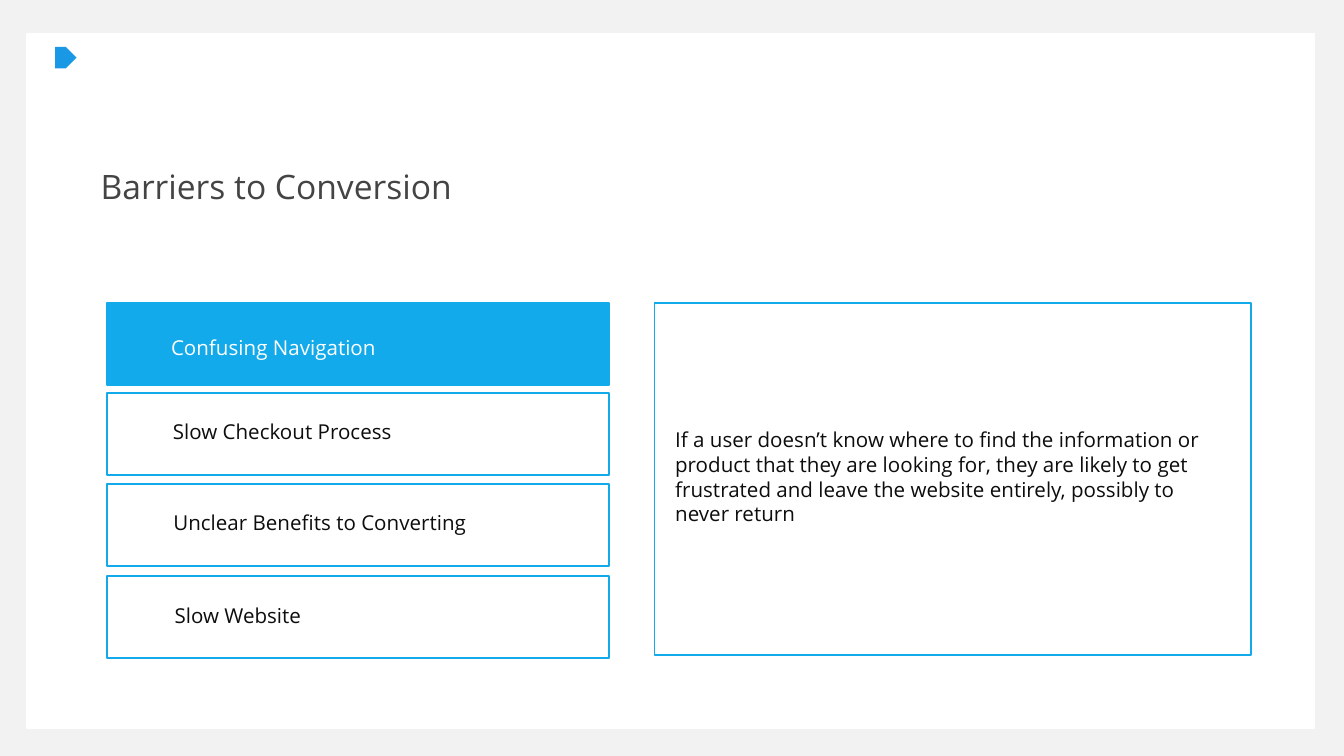
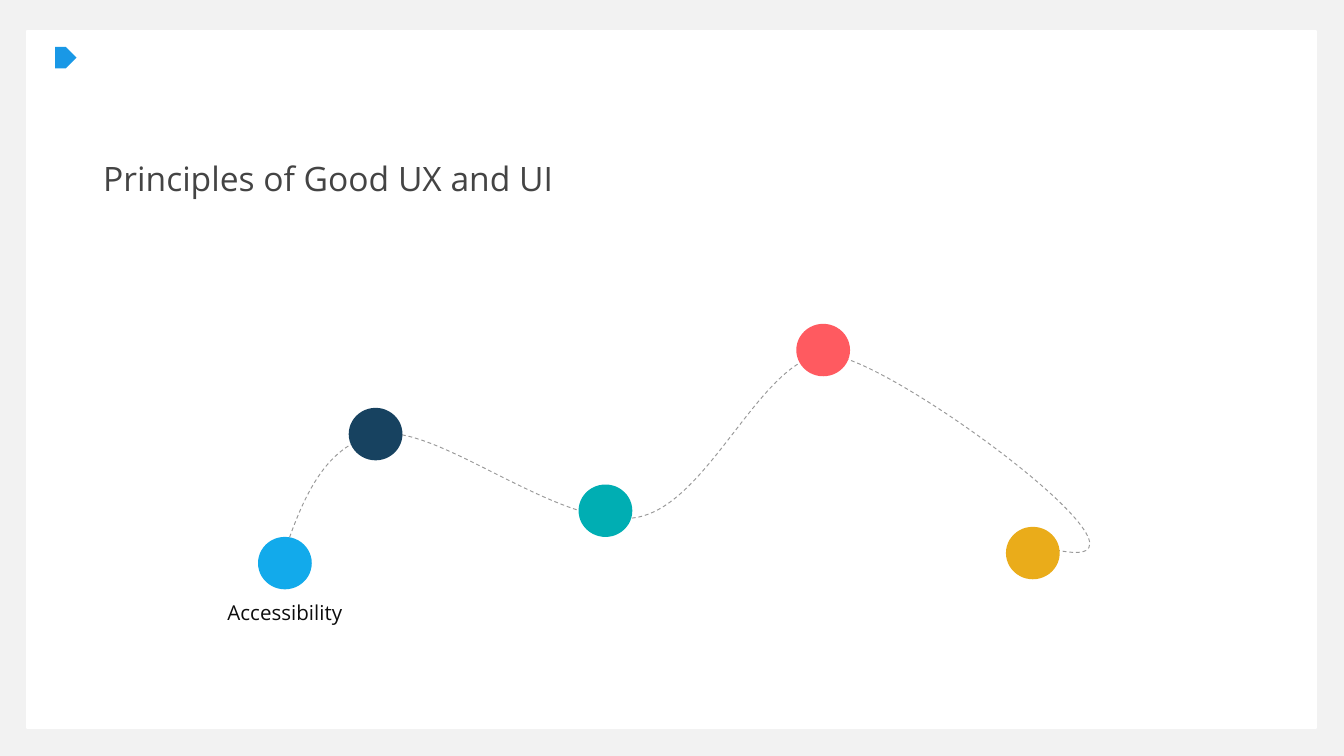
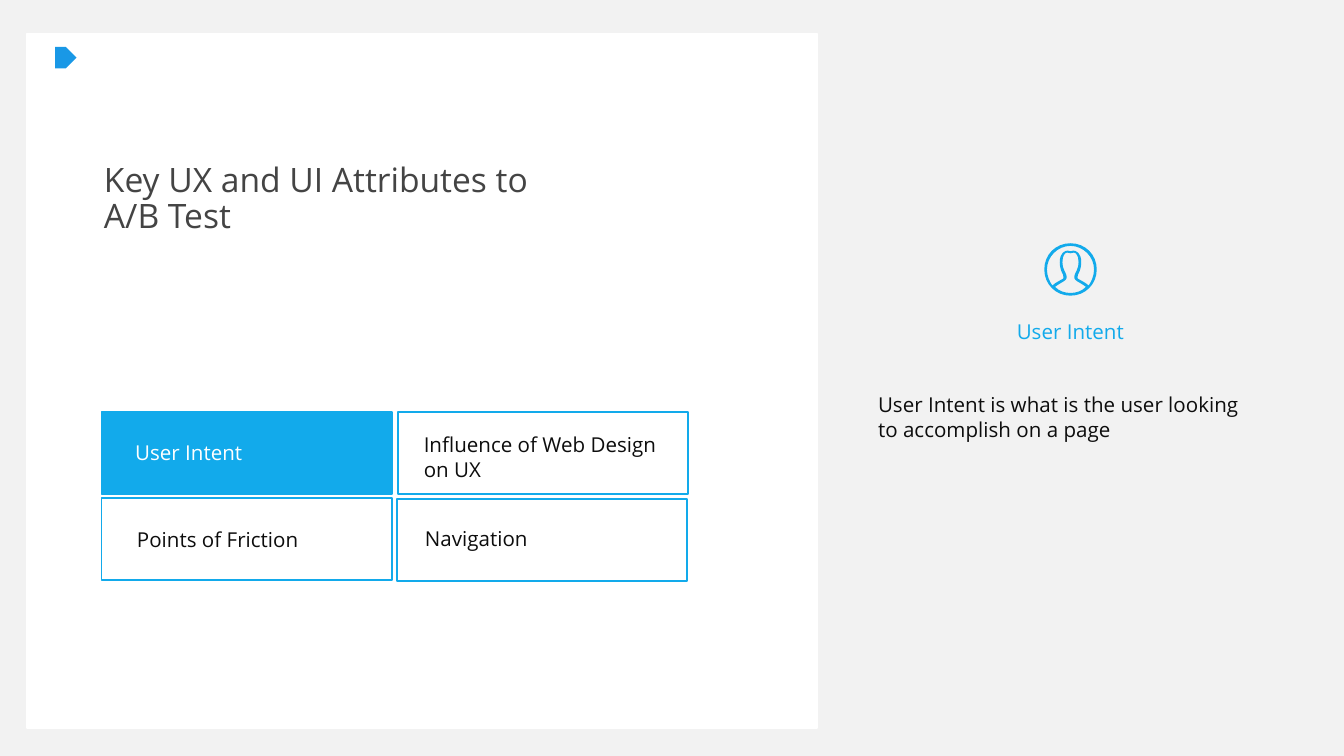
from dataclasses import dataclass

from lxml import etree
from pptx import Presentation
from pptx import util as u
from pptx.dml.color import RGBColor
from pptx.enum import dml, shapes, text
from pptx.oxml import ns

PX = 4572
FONT = "Open Sans"
BLUE, WHITE, INK, GREY = "12AAEB", "FFFFFF", "0D0D0D", "444444"
BACKDROP, MARK, DASH = "F2F2F2", "1998E6", "999999"
RECT, OVAL = shapes.MSO_SHAPE.RECTANGLE, shapes.MSO_SHAPE.OVAL
PENTAGON = shapes.MSO_SHAPE.PENTAGON

Point = tuple[float, float]


@dataclass(frozen=True)
class Box:
    x: int
    y: int
    w: int
    h: int
    fill: str | None = None
    line: str | None = None
    kind: shapes.MSO_SHAPE = RECT


@dataclass(frozen=True)
class Label:
    text: str
    x: int
    y: int
    w: int
    h: int = 58
    color: str = INK
    size: int = 11
    centered: bool = True
    wrap: bool = False
    spacing: float | None = None
    middle: bool = False


def rgb(value: str) -> RGBColor:
    return RGBColor.from_string(value)


def paint(sp, fill: str | None, line: str | None, width: float = 1) -> None:
    sp.shadow.inherit = False
    if fill:
        sp.fill.solid()
        sp.fill.fore_color.rgb = rgb(fill)
    else:
        sp.fill.background()
    if line:
        sp.line.color.rgb = rgb(line)
        sp.line.width = u.Pt(width)
    else:
        sp.line.fill.background()


def draw_box(s, box: Box) -> None:
    frame = (v * PX for v in (box.x, box.y, box.w, box.h))
    paint(s.shapes.add_shape(box.kind, *frame), box.fill, box.line)


def draw_label(s, label: Label) -> None:
    frame = (v * PX for v in (label.x, label.y, label.w, label.h))
    tf = s.shapes.add_textbox(*frame).text_frame
    tf.word_wrap = label.wrap
    if label.middle:
        tf.vertical_anchor = text.MSO_ANCHOR.MIDDLE
    else:
        tf.auto_size = text.MSO_AUTO_SIZE.SHAPE_TO_FIT_TEXT
    p = tf.paragraphs[0]
    p.alignment = text.PP_ALIGN.CENTER if label.centered else text.PP_ALIGN.LEFT
    if label.spacing:
        p.line_spacing = label.spacing
    r = p.add_run()
    r.text = label.text
    r.font.name = FONT
    r.font.size = u.Pt(label.size)
    r.font.color.rgb = rgb(label.color)


def trace(points: list[Point], steps: int = 24) -> list[Point]:
    traced = [points[0]]
    for i in range(0, len(points) - 1, 3):
        a, b, c, d = points[i:i + 4]
        for n in range(1, steps + 1):
            t = n / steps
            v = 1 - t
            traced.append(tuple(
                v**3 * a[k] + 3 * v * v * t * b[k] + 3 * v * t * t * c[k] + t**3 * d[k]
                for k in (0, 1)
            ))
    return traced


def add_command(path, name: str, points: list[Point]) -> None:
    command = etree.SubElement(path, ns.qn(f"a:{name}"))
    for x, y in points:
        etree.SubElement(command, ns.qn("a:pt"), x=str(round(x)), y=str(round(y)))


def draw_curves(s, contours: list[list[Point]], closed: bool, x: int = 0, y: int = 0):
    placed = [[((x + a) * PX, (y + b) * PX) for a, b in c] for c in contours]
    outline = trace(placed[0])
    builder = s.shapes.build_freeform(*outline[0], scale=1.0)
    builder.add_line_segments(outline[1:], close=closed)
    sp = builder.convert_to_shape()
    path = sp._element.find(f".//{ns.qn('a:path')}")
    for command in list(path):
        path.remove(command)
    for contour in placed:
        points = [(a - sp.left, b - sp.top) for a, b in contour]
        add_command(path, "moveTo", points[:1])
        for i in range(1, len(points), 3):
            add_command(path, "cubicBezTo", points[i:i + 3])
        if closed:
            add_command(path, "close", [])
    return sp


def mirrored(half: list[Point]) -> list[Point]:
    return half + [(-x, y) for x, y in reversed(half[:-1])]


def draw_person(s, x: int, y: int) -> None:
    rim = [(0, -39), (22, -39), (39, -22), (39, 0), (39, 22), (22, 39), (0, 39)]
    around = [
        (0, -35), (19, -35), (35, -19), (35, 0), (35, 10), (31, 18), (27, 24),
        (24, 21), (19, 18), (15, 16), (10, 14), (9, 12), (11, 8),
        (12, 6), (16, 0), (16, -11), (16, -25), (8, -28), (4, -28),
        (2, -28), (1, -28), (0, -27),
    ]
    torso = [
        (0, 35), (9, 35), (17, 32), (23, 26), (20, 24), (18, 22), (14, 20),
        (9, 17), (4, 15), (6, 9), (7, 4), (12, 0), (12, -11),
        (12, -21), (8, -25), (5, -25), (3, -25), (1, -24), (0, -24),
    ]
    contours = [mirrored(half) for half in (rim, around, torso)]
    paint(draw_curves(s, contours, True, x, y), BLUE, None)


def start_slide(prs, panel: Box, title: Label):
    s = prs.slides.add_slide(prs.slide_layouts[6])
    s.background.fill.solid()
    s.background.fill.fore_color.rgb = rgb(BACKDROP)
    draw_box(s, panel)
    draw_label(s, title)
    return s


def draw_mark(s) -> None:
    draw_box(s, Box(82, 70, 32, 32, MARK, kind=PENTAGON))


def panel(y: int, w: int, h: int) -> Box:
    return Box(40, y, w, h, WHITE, WHITE)


def title(wording: str, x: int, y: int, w: int, h: int, middle: bool = False) -> Label:
    return Label(wording, x, y, w, h, GREY, 18, False, True, 0.9, middle)


def body(wording: str, x: int, y: int, w: int, h: int) -> Label:
    return Label(wording, x, y, w, h, centered=False, wrap=True)


def barriers_slide(prs) -> None:
    s = start_slide(prs, panel(50, 1916, 1034),
                    title("Barriers to Conversion", 130, 244, 696, 74))
    for i, y in enumerate((451, 585, 720, 857)):
        draw_box(s, Box(159, y, 748, 122, None if i else BLUE, BLUE))
    draw_box(s, Box(974, 451, 888, 524, line=BLUE))
    for label in (
        Label("Confusing Navigation", 234, 488, 346, color=WHITE),
        Label("Slow Checkout Process", 235, 614, 370),
        Label("Unclear Benefits to Converting", 237, 749, 478),
        Label("Slow Website", 239, 888, 230),
        body("If a user doesn’t know where to find the information or product "
             "that they are looking for, they are likely to get frustrated and "
             "leave the website entirely, possibly to never return",
             985, 626, 858, 168),
    ):
        draw_label(s, label)
    draw_mark(s)


def principles_slide(prs) -> None:
    s = start_slide(prs, panel(46, 1918, 1038),
                    title("Principles of Good UX and UI", 134, 233, 788, 72, True))
    journey = [
        (412, 856), (444, 758), (476, 660), (566, 646),
        (654, 632), (836, 790), (948, 770), (1058, 750), (1136, 522), (1234, 528),
        (1334, 534), (1810, 892), (1540, 810),
    ]
    sp = draw_curves(s, [journey], False)
    paint(sp, None, DASH, 0.5)
    sp.line.dash_style = dml.MSO_LINE.DASH
    for x, y, color in (
        (384, 799, BLUE), (519, 607, "174260"), (861, 721, "00AEB3"),
        (1185, 482, "FF5A60"), (1497, 784, "EAAC1A"),
    ):
        draw_box(s, Box(x, y, 80, 78, color, kind=OVAL))
    draw_label(s, Label("Accessibility", 309, 883, 230, wrap=True))
    draw_mark(s)


def attributes_slide(prs) -> None:
    s = start_slide(prs, panel(50, 1176, 1034),
                    title("Key UX and UI Attributes to A/B Test", 135, 233, 696, 130))
    for x, y, fill in ((151, 613, BLUE), (592, 613, None),
                       (151, 741, None), (591, 743, None)):
        draw_box(s, Box(x, y, 432, 122, fill, BLUE))
    for label in (
        Label("User Intent", 181, 645, 200, color=WHITE),
        Label("Points of Friction", 183, 774, 282),
        body("Influence of Web Design on UX", 611, 633, 388, 94),
        Label("Navigation", 612, 773, 194),
        body("User Intent is what is the user looking to accomplish on a page",
             1287, 574, 612, 94),
    ):
        draw_label(s, label)
    draw_person(s, 1593, 401)
    draw_label(s, Label("User Intent", 1493, 465, 200, color=BLUE))
    draw_mark(s)


def main() -> None:
    prs = Presentation()
    prs.slide_width, prs.slide_height = 2000 * PX, 1125 * PX
    barriers_slide(prs)
    principles_slide(prs)
    attributes_slide(prs)
    prs.save("out.pptx")


if __name__ == "__main__":
    main()
